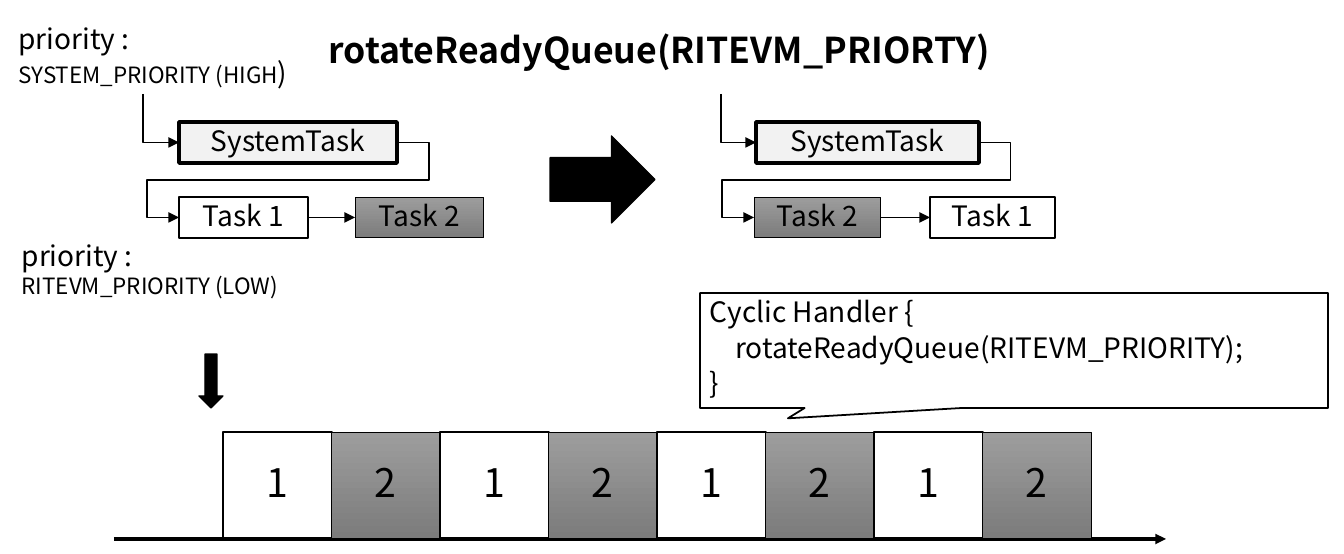
from lxml import etree
from pptx import Presentation
from pptx.dml.color import RGBColor
from pptx.enum.shapes import MSO_CONNECTOR, MSO_SHAPE
from pptx.enum.text import MSO_ANCHOR, PP_ALIGN
from pptx.oxml.ns import qn
from pptx.util import Pt

PX = 914400 // 128
FONT = "Noto Sans CJK JP"
BLACK = RGBColor(0x00, 0x00, 0x00)
WHITE = RGBColor(0xFF, 0xFF, 0xFF)
PALE = RGBColor(0xF2, 0xF2, 0xF2)
GRAY_TOP = RGBColor(0x9D, 0x9D, 0x9D)
GRAY_BOTTOM = RGBColor(0x7C, 0x7C, 0x7C)

RECT = MSO_SHAPE.RECTANGLE
CALLOUT = MSO_SHAPE.RECTANGULAR_CALLOUT
DOWN_ARROW = MSO_SHAPE.DOWN_ARROW
RIGHT_ARROW = MSO_SHAPE.RIGHT_ARROW
STRAIGHT = MSO_CONNECTOR.STRAIGHT
ELBOW = MSO_CONNECTOR.ELBOW
CENTER = PP_ALIGN.CENTER
LEFT = PP_ALIGN.LEFT
TOP = MSO_ANCHOR.TOP
MIDDLE = MSO_ANCHOR.MIDDLE

LEFT_SITE, RIGHT_SITE = 1, 3
BODY, SMALL, SLOT_SIZE, TITLE_SIZE = 15.8, 12.6, 22.1, 20
TIMELINE_LEFT, TIMELINE_WIDTH, SLOT_COUNT = 223, 868, 8


def emu(*lengths):
    return [length * PX for length in lengths]


def set_font(target, size, bold=False):
    target.font.name = FONT
    target.font.size = Pt(size)
    target.font.bold = bold
    target.font.color.rgb = BLACK


def add_block(slide, preset, box, fill, line_width):
    """Add an outlined preset shape; a fill of None means the gray gradient."""
    block = slide.shapes.add_shape(preset, *emu(*box))
    block.shadow.inherit = False
    if fill is None:
        block.fill.gradient()
        block.fill.gradient_angle = 270
        for stop, color in zip(block.fill.gradient_stops, (GRAY_TOP, GRAY_BOTTOM)):
            stop.color.rgb = color
    else:
        block.fill.solid()
        block.fill.fore_color.rgb = fill
    block.line.color.rgb = BLACK
    block.line.width = Pt(line_width)
    return block


def write_lines(block, lines, size, align, anchor):
    frame = block.text_frame
    frame.word_wrap = True
    frame.vertical_anchor = anchor
    frame.margin_left = frame.margin_right = 10 * PX
    frame.margin_top = frame.margin_bottom = 5 * PX
    for index, line in enumerate(lines):
        paragraph = frame.add_paragraph() if index else frame.paragraphs[0]
        paragraph.text = line
        paragraph.alignment = align
        paragraph.line_spacing = 0.9
        if index:
            paragraph.space_before = Pt(size * 0.2)
        set_font(paragraph, size)


def add_task(slide, name, box):
    fill, line_width = {"SystemTask": (PALE, 2), "Task 1": (WHITE, 1),
                        "Task 2": (None, 0.5)}[name]
    task = add_block(slide, RECT, box, fill, line_width)
    write_lines(task, [name], BODY, CENTER, TOP)
    return task


def add_arrow(slide, kind, begin, end, width=0.75):
    arrow = slide.shapes.add_connector(kind, *emu(*begin, *end))
    arrow.line.color.rgb = BLACK
    arrow.line.width = Pt(width)
    etree.SubElement(arrow.line._get_or_add_ln(), qn("a:tailEnd"), type="triangle")
    etree.SubElement(arrow._element.spPr, qn("a:effectLst"))
    return arrow


def link_tasks(slide, source, target, kind=STRAIGHT):
    """Run an arrow from the right side of one task to the left side of another."""
    arrow = add_arrow(slide, kind, (0, 0), (0, 0))
    arrow.begin_connect(source, RIGHT_SITE)
    arrow.end_connect(target, LEFT_SITE)
    return arrow


def wrap_to_next_row(slide, source, target):
    """Link two tasks around their outer sides, 32 px clear of each."""
    arrow = link_tasks(slide, source, target, ELBOW)
    overhang = round(32 * PX / arrow.width * 100000)
    geometry = arrow._element.spPr.find(qn("a:prstGeom"))
    geometry.set("prst", "bentConnector5")
    guides = geometry.find(qn("a:avLst"))
    for number, value in enumerate((-overhang, 50000, 100000 + overhang), 1):
        etree.SubElement(guides, qn("a:gd"), name=f"adj{number}", fmla=f"val {value}")


def drop_into(slide, task, x, y):
    """Enter a task from above: straight down, then right to its left side."""
    arrow = add_arrow(slide, ELBOW, (x, y), (x, y))
    arrow.end_connect(task, LEFT_SITE)
    across, down = arrow.width, arrow.height
    arrow.left += (across - down) // 2
    arrow.top += (down - across) // 2
    arrow.width, arrow.height = down, across
    arrow._element.spPr.find(qn("a:prstGeom")).set("prst", "bentConnector2")
    frame = arrow._element.spPr.find(qn("a:xfrm"))
    frame.set("rot", "16200000")
    frame.set("flipH", "1")


def add_queue(slide, entry_x, system_box, first, second):
    system = add_task(slide, "SystemTask", system_box)
    head, tail = (add_task(slide, *task) for task in (first, second))
    drop_into(slide, system, entry_x, 94)
    wrap_to_next_row(slide, system, head)
    link_tasks(slide, head, tail)


def add_label(slide, box, lines):
    """Add a text box; each line is a list of (text, size) runs."""
    frame = slide.shapes.add_textbox(*emu(*box)).text_frame
    frame.word_wrap = False
    for index, line in enumerate(lines):
        paragraph = frame.add_paragraph() if index else frame.paragraphs[0]
        for text, size in line:
            run = paragraph.add_run()
            run.text = text
            set_font(run, size)


def add_title(slide, text, box):
    frame = slide.shapes.add_textbox(*emu(*box)).text_frame
    frame.word_wrap = True
    frame.text = text
    set_font(frame.paragraphs[0], TITLE_SIZE, bold=True)


def add_timeline(slide):
    add_arrow(slide, STRAIGHT, (114, 539), (1166, 539), 2)
    for index in range(SLOT_COUNT):
        left = TIMELINE_LEFT + TIMELINE_WIDTH * index // SLOT_COUNT
        fill, line_width = ((WHITE, 1), (None, 0.5))[index % 2]
        slot = add_block(slide, RECT, (left, 432, 109, 106), fill, line_width)
        write_lines(slot, [str(index % 2 + 1)], SLOT_SIZE, CENTER, MIDDLE)


def add_handler(slide):
    handler = add_block(slide, CALLOUT, (700, 293, 628, 115), WHITE, 1)
    handler.adjustments[0] = -0.36
    handler.adjustments[1] = 0.59
    code = ["Cyclic Handler {", "    rotateReadyQueue(RITEVM_PRIORITY);", "}"]
    write_lines(handler, code, BODY, LEFT, TOP)


def main():
    deck = Presentation()
    deck.slide_width, deck.slide_height = emu(1344, 554)
    slide = deck.slides.add_slide(deck.slide_layouts[6])

    add_title(slide, "rotateReadyQueue(RITEVM_PRIORTY)", (316, 22, 767, 54))
    add_label(slide, (6, 15, 328, 81),
              [[("priority :", BODY)], [("SYSTEM_PRIORITY (HIGH", SMALL), (")", BODY)]])
    add_label(slide, (9, 232, 324, 74),
              [[("priority :", BODY)], [("RITEVM_PRIORITY (LOW)", SMALL)]])

    add_queue(slide, 143, (179, 122, 218, 41),
              ("Task 1", (179, 197, 129, 41)), ("Task 2", (355, 197, 129, 41)))
    add_queue(slide, 721, (756, 122, 223, 41),
              ("Task 2", (754, 197, 127, 41)), ("Task 1", (930, 197, 125, 41)))

    add_block(slide, RIGHT_ARROW, (550, 136, 105, 87), BLACK, 0.75)
    add_block(slide, DOWN_ARROW, (199, 354, 24, 54), BLACK, 0.75)
    add_timeline(slide)
    add_handler(slide)
    deck.save("out.pptx")


if __name__ == "__main__":
    main()
